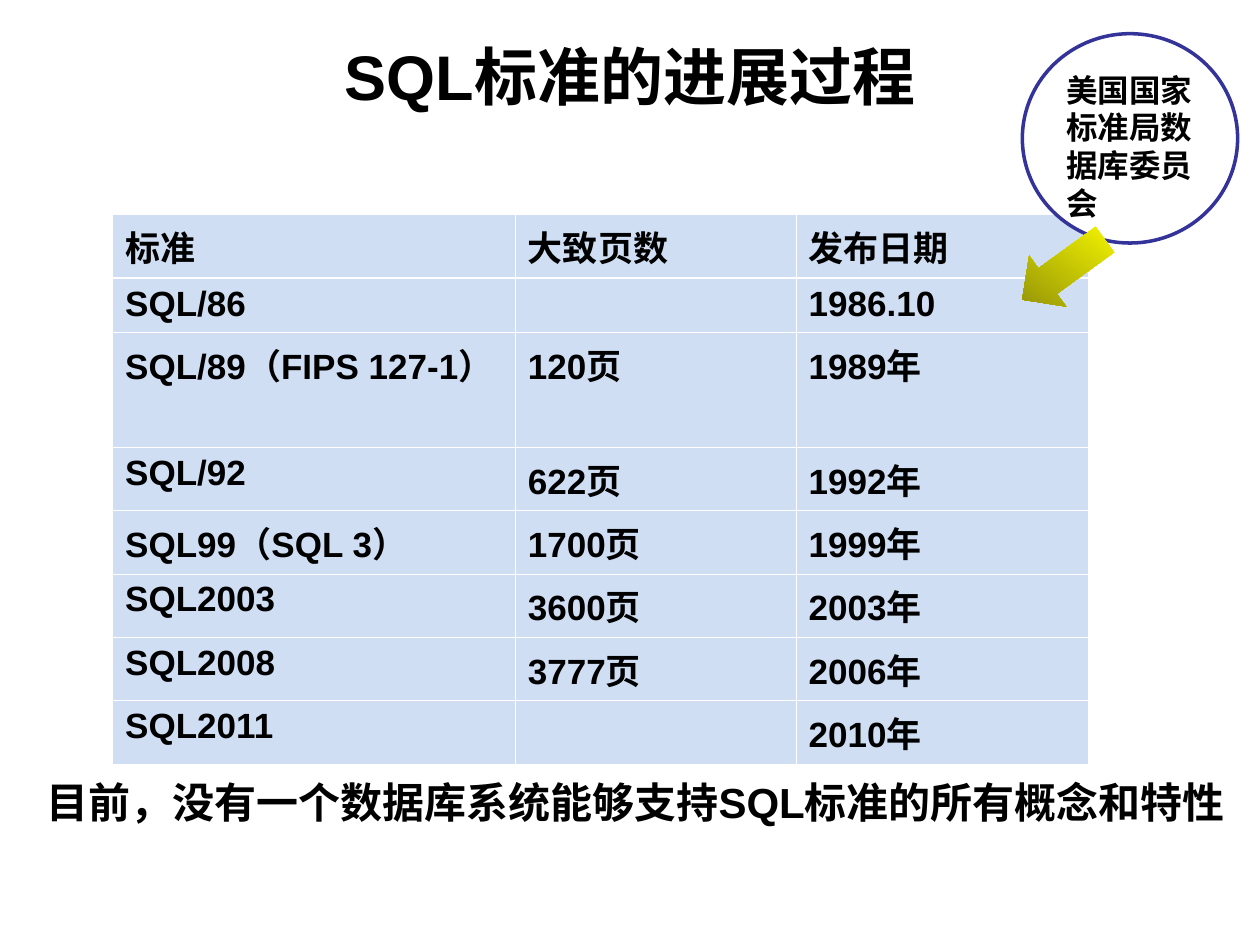
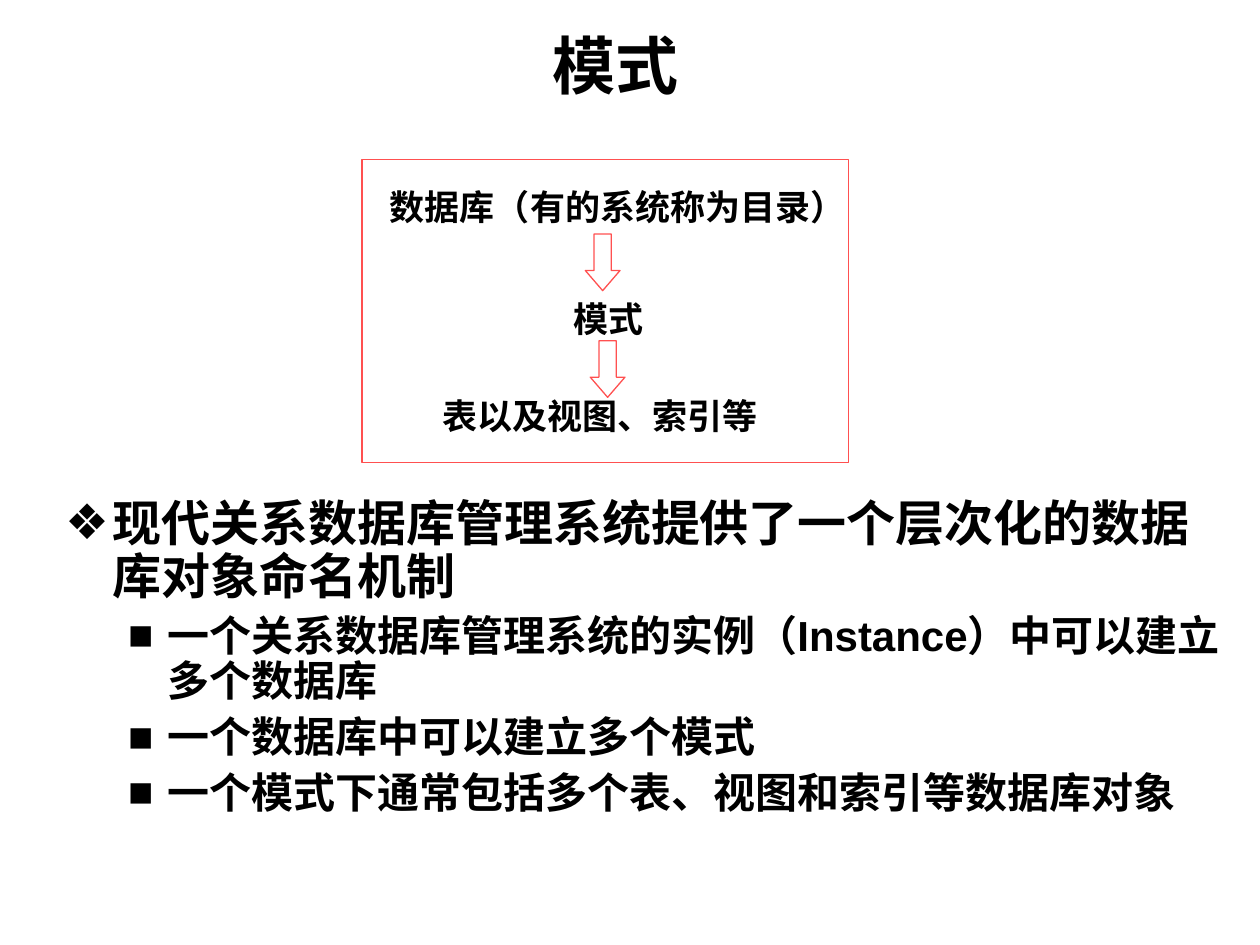
"""Two slides on the history of the SQL standard and on database schemas."""
from lxml import etree
from pptx import Presentation
from pptx.dml.color import RGBColor
from pptx.enum import shapes, text
from pptx.oxml import ns
from pptx.util import Cm, Pt

FONT = "Arial"
COLORS = {
    "text": "000000",
    "white": "FFFFFF",
    "cell": "CFDEF3",
    "circle": "333399",
    "frame": "FF5050",
    "arrow_light": "FFFF00",
    "arrow_dark": "838309",
}


def write_text(frame, content, size, align=text.PP_ALIGN.LEFT):
    frame.text = content
    frame.word_wrap = True
    paragraph = frame.paragraphs[0]
    paragraph.alignment = align
    paragraph.font.name = FONT
    paragraph.font.size = Pt(size)
    paragraph.font.bold = True
    paragraph.font.color.rgb = RGBColor.from_string(COLORS["text"])


def add_outlined(slide, preset, box, line, width):
    shape = slide.shapes.add_shape(preset, *map(Cm, box))
    shape.shadow.inherit = False
    shape.fill.solid()
    shape.fill.fore_color.rgb = RGBColor.from_string(COLORS["white"])
    shape.line.color.rgb = RGBColor.from_string(COLORS[line])
    shape.line.width = Pt(width)
    return shape


presentation = Presentation()
presentation.slide_width = Cm(25.4)
presentation.slide_height = Cm(19.05)

slides = []
for layout, heading, box in [
    (5, "SQL标准的进展过程", (1.27, 0.3, 22.86, 2.44)),
    (1, "模式", (3.92, 0.52, 16.97, 1.57)),
]:
    slide = presentation.slides.add_slide(presentation.slide_layouts[layout])
    title = slide.shapes.title
    title.left, title.top, title.width, title.height = map(Cm, box)
    write_text(title.text_frame, heading, 36, text.PP_ALIGN.CENTER)
    title.text_frame.auto_size = text.MSO_AUTO_SIZE.NONE
    title.text_frame.vertical_anchor = text.MSO_ANCHOR.MIDDLE
    slides.append(slide)
history_slide, schema_slide = slides

standards = [
    ("标准", "大致页数", "发布日期"),
    ("SQL/86", "", "1986.10"),
    ("SQL/89（FIPS 127-1）", "120页", "1989年"),
    ("SQL/92", "622页", "1992年"),
    ("SQL99（SQL 3）", "1700页", "1999年"),
    ("SQL2003", "3600页", "2003年"),
    ("SQL2008", "3777页", "2006年"),
    ("SQL2011", "", "2010年"),
]
column_widths = [8.12, 5.66, 5.89]
row_heights = [1.1, 1.1, 1.96] + [1.1] * 5
table = history_slide.shapes.add_table(
    len(standards), len(column_widths), Cm(2.27), Cm(4.33),
    Cm(sum(column_widths)), Cm(sum(row_heights)),
).table
table.first_row = False
table.horz_banding = False
for column, width in zip(table.columns, column_widths):
    column.width = Cm(width)
for row_index, (row, height, values) in enumerate(zip(table.rows, row_heights, standards)):
    row.height = Cm(height)
    thick_side = {0: "lnB", 1: "lnT"}.get(row_index)
    for cell, value in zip(row.cells, values):
        write_text(cell.text_frame, value, 20)
        cell_properties = cell._tc.get_or_add_tcPr()
        for side in ("lnL", "lnR", "lnT", "lnB"):
            border_width = Pt(1.47 if side == thick_side else 0.45)
            border = etree.SubElement(cell_properties, ns.qn(f"a:{side}"), w=str(border_width))
            border_fill = etree.SubElement(border, ns.qn("a:solidFill"))
            etree.SubElement(border_fill, ns.qn("a:srgbClr"), val=COLORS["white"])
        cell.fill.solid()
        cell.fill.fore_color.rgb = RGBColor.from_string(COLORS["cell"])

caption = history_slide.shapes.add_textbox(Cm(0.69), Cm(15.52), Cm(24.71), Cm(2.01))
write_text(caption.text_frame, "目前，没有一个数据库系统能够支持SQL标准的所有概念和特性", 24)

committee = add_outlined(
    history_slide, shapes.MSO_SHAPE.OVAL, (20.61, 0.68, 4.34, 4.22), "circle", 2)
write_text(committee.text_frame, "美国国家标准局数据库委员会", 18)
committee.text_frame.vertical_anchor = text.MSO_ANCHOR.TOP

pointer = history_slide.shapes.add_shape(
    shapes.MSO_SHAPE.LEFT_ARROW, Cm(20.41), Cm(4.8), Cm(2.06), Cm(1.27))
pointer.shadow.inherit = False
pointer.rotation = 324
pointer.line.fill.background()
pointer.fill.gradient()
pointer.fill.gradient_angle = 198
for stop, position, color in zip(
        pointer.fill.gradient_stops, (0, 1), ("arrow_light", "arrow_dark")):
    stop.position = position
    stop.color.rgb = RGBColor.from_string(COLORS[color])

body = schema_slide.placeholders[1]
body.left, body.top, body.width, body.height = map(Cm, (1.06, 9.93, 24.03, 7.21))
body.text_frame.auto_size = text.MSO_AUTO_SIZE.NONE
points = [
    (0, "现代关系数据库管理系统提供了一个层次化的数据库对象命名机制"),
    (1, "一个关系数据库管理系统的实例（Instance）中可以建立多个数据库"),
    (1, "一个数据库中可以建立多个模式"),
    (1, "一个模式下通常包括多个表、视图和索引等数据库对象"),
]
level_styles = [("❖", 28, 0.96, 0.96), ("■", 24, 2.06, 0.79)]
for index, (level, content) in enumerate(points):
    bullet, size, margin, hanging = level_styles[level]
    paragraph = body.text_frame.paragraphs[0] if index == 0 else body.text_frame.add_paragraph()
    paragraph.text = content
    paragraph.level = level
    paragraph.line_spacing = 0.9
    paragraph.space_before = Pt(6 if index else 0)
    properties = paragraph._p.get_or_add_pPr()
    properties.set("marL", str(Cm(margin)))
    properties.set("indent", str(-Cm(hanging)))
    bullet_color = etree.SubElement(properties, ns.qn("a:buClr"))
    etree.SubElement(bullet_color, ns.qn("a:srgbClr"), val=COLORS["text"])
    etree.SubElement(properties, ns.qn("a:buFont"), typeface=FONT)
    etree.SubElement(properties, ns.qn("a:buChar"), char=bullet)
    paragraph.font.name = FONT
    paragraph.font.size = Pt(size)
    paragraph.font.bold = True
    paragraph.font.color.rgb = RGBColor.from_string(COLORS["text"])

frame = add_outlined(
    schema_slide, shapes.MSO_SHAPE.RECTANGLE, (7.3, 3.22, 9.8, 6.11), "frame", 0.75)
frame.fill.background()
for content, left, top, width in [
    ("数据库（有的系统称为目录）", 7.61, 3.61, 10.9),
    ("模式", 11.32, 5.87, 4.19),
    ("表以及视图、索引等", 8.67, 7.82, 7.24),
]:
    label = schema_slide.shapes.add_textbox(Cm(left), Cm(top), Cm(width), Cm(1.12))
    write_text(label.text_frame, content, 20)
for left, top in [(11.8, 4.72), (11.9, 6.87)]:
    arrow = add_outlined(
        schema_slide, shapes.MSO_SHAPE.DOWN_ARROW, (left, top, 0.7, 1.14), "frame", 0.75)
    arrow.adjustments[1] = 0.58

presentation.save("out.pptx")
